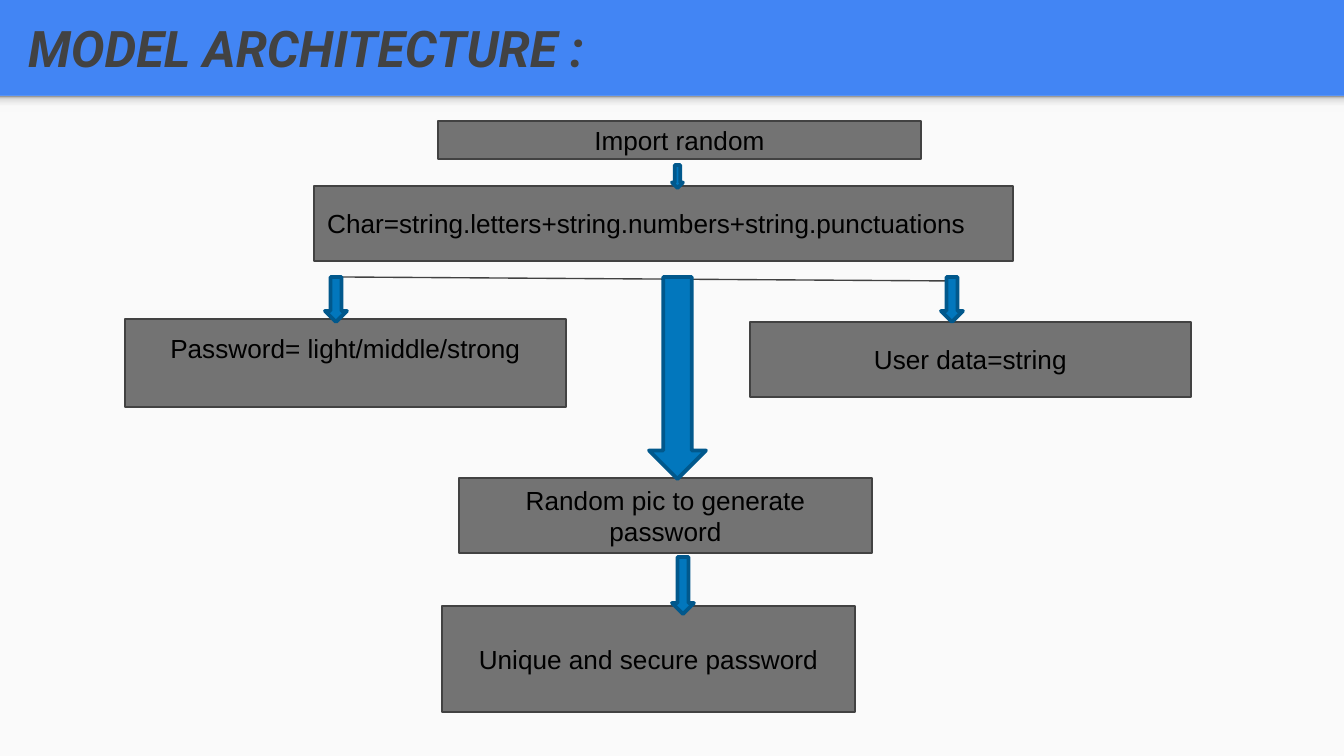
from copy import deepcopy

from pptx import Presentation
from pptx import util as u
from pptx.dml.color import RGBColor
from pptx.enum import shapes, text
from pptx.oxml import ns, xmlchemy

SCALE = 914400 / 134.4
WIDTH, HEIGHT = 1344, 756
HEADER = 96
COLORS = {
    "header": "4285F4", "body": "FAFAFA", "title": "424242",
    "box": "737373", "outline": "424242", "label": "000000",
    "arrow": "0277BD", "arrow_edge": "01588C",
}
SHADOW_STOPS = [(0, "F9F9F9"), (0.36, "F9F9F9"), (0.8, "DEDEDE"), (1, "999999")]
CENTER, LEFT = text.PP_ALIGN.CENTER, text.PP_ALIGN.LEFT
MIDDLE, TOP = text.MSO_ANCHOR.MIDDLE, text.MSO_ANCHOR.TOP
RECTANGLE = shapes.MSO_SHAPE.RECTANGLE

# Label, position relative to the chart area, alignment, anchor
STEPS = [
    ("Import random", (438, 25, 483, 38), CENTER, MIDDLE),
    ("Char=string.letters+string.numbers+string.punctuations",
     (314, 90, 699, 75), LEFT, MIDDLE),
    ("Password= light/middle/strong", (125, 223, 441, 88), CENTER, TOP),
    ("User data=string", (750, 226, 441, 75), CENTER, MIDDLE),
    ("Random pic to generate password", (459, 382, 413, 75), CENTER, MIDDLE),
    ("Unique and secure password", (442, 510, 413, 106), CENTER, MIDDLE),
]
ARROWS = [(672, 69, 11, 23), (941, 181, 22, 45), (325, 181, 22, 45),
          (649, 181, 57, 202), (672, 461, 22, 57)]
BRANCH = (336, 181, 952, 185)


def px(*lengths):
    return [u.Emu(round(length * SCALE)) for length in lengths]


def color(name):
    return RGBColor.from_string(COLORS[name])


def add_shape(page, kind, area, fill=None, line=None, weight=0.75):
    shape = page.shapes.add_shape(kind, *px(*area))
    shape.shadow.inherit = False
    if fill:
        shape.fill.solid()
        shape.fill.fore_color.rgb = color(fill)
    if line:
        shape.line.color.rgb = color(line)
        shape.line.width = u.Pt(weight)
    else:
        shape.line.fill.background()
    return shape


def write(shape, words, size, font, name, align=LEFT, anchor=MIDDLE, strong=None):
    frame = shape.text_frame
    frame.text = words
    frame.word_wrap = True
    frame.vertical_anchor = anchor
    frame.margin_left = frame.margin_right = u.Inches(0.1)
    frame.margin_top = frame.margin_bottom = u.Inches(0.1)
    para = frame.paragraphs[0]
    para.alignment = align
    span = para.runs[0]
    span.font.size = u.Pt(size)
    span.font.name = font
    span.font.color.rgb = color(name)
    span.font.bold = span.font.italic = strong


def add_header(page, left, top, width, height):
    # Shaded strip under the header
    strip = add_shape(page, RECTANGLE, (left, top + height, width, 16))
    strip.fill.gradient()
    strip.fill.gradient_angle = 90
    stop_list = strip._element.spPr.find(".//" + ns.qn("a:gsLst"))
    for _ in SHADOW_STOPS[2:]:
        stop_list.append(deepcopy(stop_list[0]))
    for stop, (position, shade) in zip(strip.fill.gradient_stops, SHADOW_STOPS):
        stop.position = position
        stop.color.rgb = RGBColor.from_string(shade)
    # Title
    title = page.shapes.add_textbox(*px(left + 15, top + 3, width - 47, height - 7))
    write(title, "MODEL ARCHITECTURE :", 27, "Roboto", "title", strong=True)


def add_flowchart(page, left, top):
    # Steps
    for words, (x, y, width, height), align, anchor in STEPS:
        box = add_shape(page, RECTANGLE, (left + x, top + y, width, height),
                        "box", "outline")
        write(box, words, 14, "Arial", "label", align, anchor)
    # Branch line
    x1, y1, x2, y2 = BRANCH
    branch = page.shapes.add_connector(
        shapes.MSO_CONNECTOR.STRAIGHT, *px(left + x1, top + y1, left + x2, top + y2))
    branch.line.color.rgb = color("outline")
    branch.line.width = u.Pt(0.75)
    branch._element.spPr.append(xmlchemy.OxmlElement("a:effectLst"))
    # Arrows
    for x, y, width, height in ARROWS:
        add_shape(page, shapes.MSO_SHAPE.DOWN_ARROW, (left + x, top + y, width, height),
                  "arrow", "arrow_edge", 2)


deck = Presentation()
deck.slide_width, deck.slide_height = px(WIDTH, HEIGHT)
page = deck.slides.add_slide(deck.slide_layouts[6])
page.background.fill.solid()
page.background.fill.fore_color.rgb = color("header")
add_shape(page, RECTANGLE, (0, HEADER, WIDTH, HEIGHT - HEADER), "body")
add_header(page, 0, 0, WIDTH, HEADER)
add_flowchart(page, 0, HEADER)
deck.save("out.pptx")
